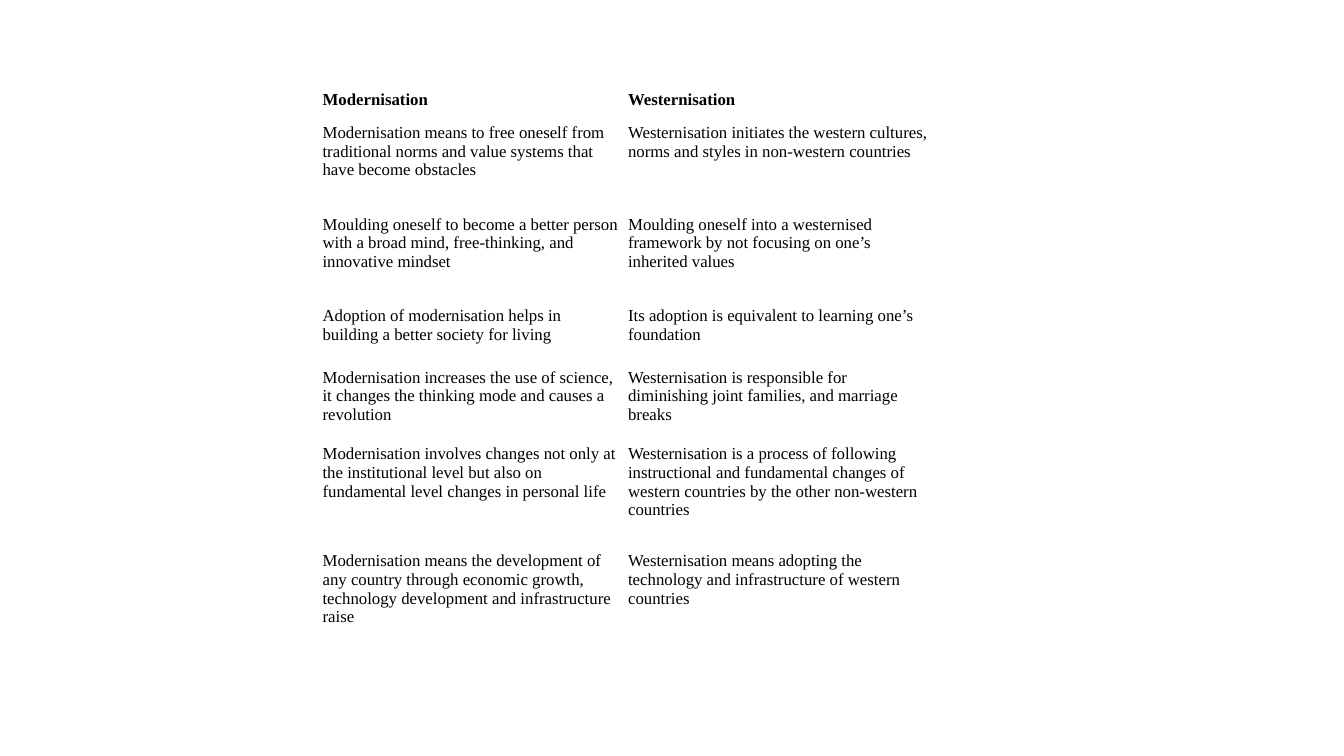
from dataclasses import dataclass
from pptx import Presentation
from pptx.dml.color import RGBColor
from pptx.util import Inches, Pt


@dataclass(frozen=True)
class Theme:
    font: str = "Times New Roman"
    size: int = 12
    ink: str = "000000"
    paper: str = "FFFFFF"


THEME = Theme()

# Heading row first, then one contrast per row
COMPARISON = [
    ("Modernisation", "Westernisation"),
    ("Modernisation means to free oneself from traditional norms and value systems "
     "that have become obstacles",
     "Westernisation initiates the western cultures, norms and styles in "
     "non-western countries"),
    ("Moulding oneself to become a better person with a broad mind, free-thinking, "
     "and innovative mindset",
     "Moulding oneself into a westernised framework by not focusing on one’s "
     "inherited values"),
    ("Adoption of modernisation helps in building a better society for living",
     "Its adoption is equivalent to learning one’s foundation"),
    ("Modernisation increases the use of science, it changes the thinking mode and "
     "causes a revolution",
     "Westernisation is responsible for diminishing joint families, and marriage "
     "breaks"),
    ("Modernisation involves changes not only at the institutional level but also "
     "on fundamental level changes in personal life",
     "Westernisation is a process of following instructional and fundamental "
     "changes of western countries by the other non-western countries"),
    ("Modernisation means the development of any country through economic growth, "
     "technology development and infrastructure raise",
     "Westernisation means adopting the technology and infrastructure of western "
     "countries"),
]
COLUMN_WIDTHS = (3.03, 3.08)
ROW_HEIGHTS = (0.32, 0.91, 0.91, 0.61, 0.76, 1.06, 1.06)


def format_cell(cell, content, bold):
    cell.fill.solid()
    cell.fill.fore_color.rgb = RGBColor.from_string(THEME.paper)
    cell.margin_left, cell.margin_right = Inches(0.04), Inches(0.03)
    cell.margin_top = cell.margin_bottom = Inches(0.07)
    p = cell.text_frame.paragraphs[0]
    p.text = content
    p.font.name = THEME.font
    p.font.size = Pt(THEME.size)
    p.font.bold = bold
    p.font.color.rgb = RGBColor.from_string(THEME.ink)


def add_comparison(s, left, top, width, height):
    """Fill the box with the table, sharing its size out in proportion."""
    table = s.shapes.add_table(len(COMPARISON), len(COLUMN_WIDTHS),
                               left, top, width, height).table
    table.horz_banding = False
    for column, share in zip(table.columns, COLUMN_WIDTHS):
        column.width = int(width * share / sum(COLUMN_WIDTHS))
    for row, share in zip(table.rows, ROW_HEIGHTS):
        row.height = int(height * share / sum(ROW_HEIGHTS))
    for i, entries in enumerate(COMPARISON):
        for j, content in enumerate(entries):
            format_cell(table.cell(i, j), content, bold=i == 0)


def main():
    prs = Presentation()
    prs.slide_width, prs.slide_height = Inches(13.33), Inches(7.5)
    s = prs.slides.add_slide(prs.slide_layouts[6])

    # Comparison table
    add_comparison(s, Inches(3.16), Inches(0.83), Inches(6.11), Inches(5.63))
    prs.save("out.pptx")


if __name__ == "__main__":
    main()
